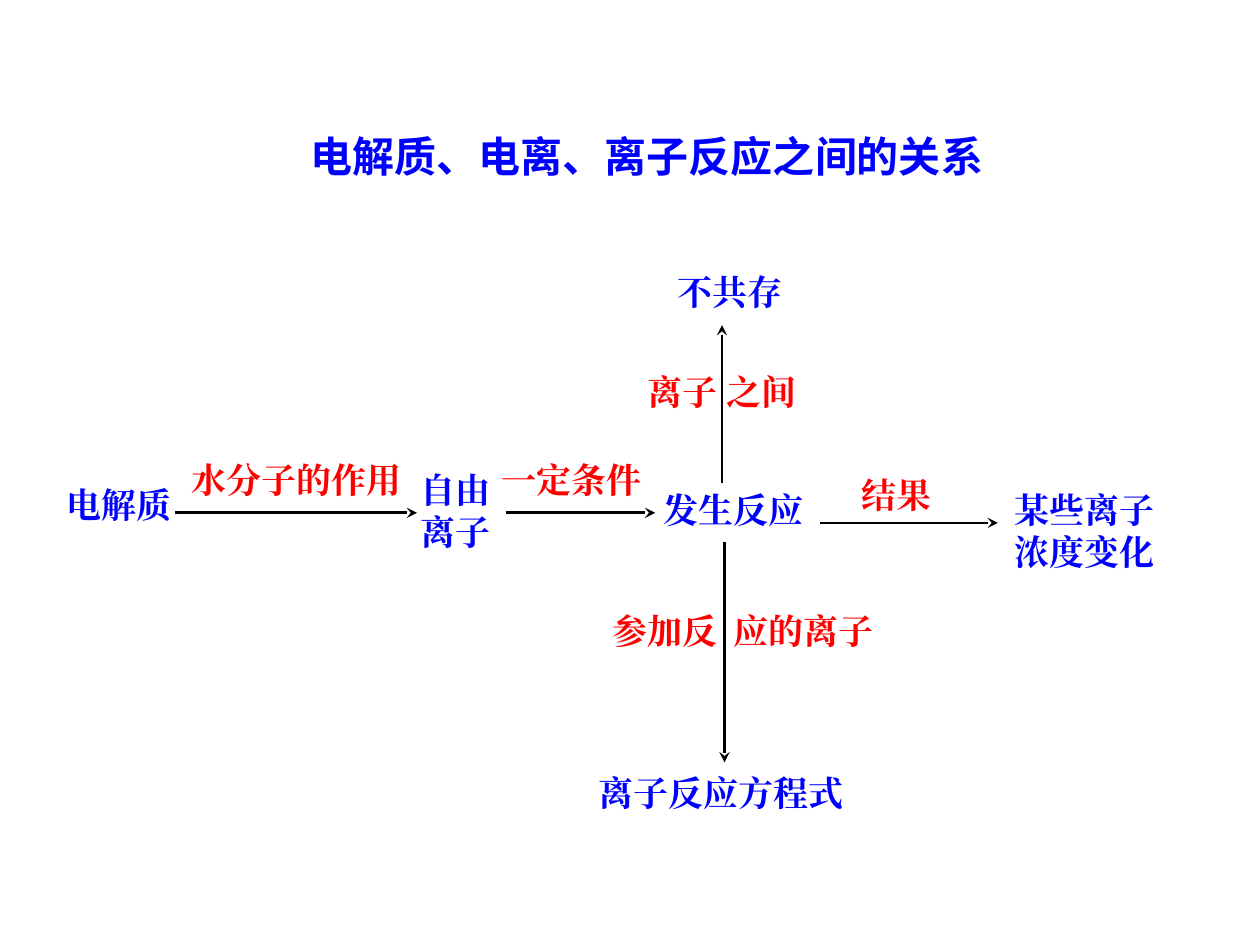
from lxml import etree
from pptx import Presentation
from pptx.dml.color import RGBColor
from pptx.enum.shapes import MSO_CONNECTOR
from pptx.enum.text import PP_ALIGN
from pptx.oxml.ns import qn
from pptx.util import Inches, Pt

STRAIGHT = MSO_CONNECTOR.STRAIGHT
LEFT, CENTER = PP_ALIGN.LEFT, PP_ALIGN.CENTER
COLORS = {"concept": "0000FF", "condition": "FF0000", "arrow": "000000"}
TITLE_FONT, BODY_FONT = "Noto Sans CJK SC", "Times New Roman"
LINE_HEIGHT = 0.44

# Text, left, top, width, height, alignment
CONCEPTS = [
    ("电解质", 0.43, 3.79, 1.48, LINE_HEIGHT, LEFT),
    ("自由离子", 3.24, 3.67, 0.85, 0.77, LEFT),
    ("发生反应", 5.17, 3.83, 1.57, LINE_HEIGHT, LEFT),
    ("不共存", 5.01, 2.1, 1.57, LINE_HEIGHT, CENTER),
    ("离子反应方程式", 4.65, 6.07, 2.52, LINE_HEIGHT, LEFT),
    ("某些离子浓度变化", 7.95, 3.83, 1.46, 0.77, LEFT),
]
# Text, left, top, width; a tab leaves room for the arrow
CONDITIONS = [
    ("水分子的作用", 1.42, 3.59, 2.05),
    ("一定条件", 3.88, 3.59, 1.48),
    ("离子 之间", 5.04, 2.89, 1.5),
    ("参加反\t应的离子", 4.76, 4.79, 2.68),
    ("结果", 6.74, 3.71, 1.02),
]
ARROW_GAP_TAB = 0.96
# Start x, start y, end x, end y
ARROWS = [
    (1.39, 4.07, 3.31, 4.07),
    (4.02, 4.07, 5.2, 4.07),
    (5.73, 3.83, 5.73, 2.58),
    (5.75, 4.3, 5.75, 6.05),
    (6.51, 4.15, 7.92, 4.15),
]


def add_tab_stop(paragraph, position):
    stops = etree.SubElement(paragraph._p.get_or_add_pPr(), qn("a:tabLst"))
    etree.SubElement(stops, qn("a:tab"), pos=str(Inches(position)), algn="l")


def add_label(slide, text, left, top, width, height, color,
              align=LEFT, font_name=BODY_FONT, size=20):
    box = slide.shapes.add_textbox(*map(Inches, (left, top, width, height)))
    box.text_frame.word_wrap = True
    paragraph = box.text_frame.paragraphs[0]
    paragraph.alignment = align
    if "\t" in text:
        add_tab_stop(paragraph, ARROW_GAP_TAB)
    run = paragraph.add_run()
    run.text = text
    formats = {"name": font_name, "size": Pt(size), "bold": True}
    for attribute, value in formats.items():
        setattr(run.font, attribute, value)
    run.font.color.rgb = RGBColor.from_string(COLORS[color])
    # Chinese characters take the East Asian font
    etree.SubElement(run._r.get_or_add_rPr(), qn("a:ea"), typeface=font_name)


def add_arrow(slide, *ends):
    arrow = slide.shapes.add_connector(STRAIGHT, *map(Inches, ends))
    arrow.line.width = Pt(1.5)
    arrow.line.color.rgb = RGBColor.from_string(COLORS["arrow"])
    etree.SubElement(arrow.line._get_or_add_ln(), qn("a:tailEnd"), type="stealth")
    etree.SubElement(arrow._element.spPr, qn("a:effectLst"))


def main():
    prs = Presentation()
    prs.slide_width, prs.slide_height = Inches(10), Inches(7.5)
    slide = prs.slides.add_slide(prs.slide_layouts[6])

    # Title
    add_label(slide, "电解质、电离、离子反应之间的关系", 1.38, 0.99, 7.51, 0.5,
              "concept", CENTER, TITLE_FONT, 24)

    # Concepts, the arrows between them, and the conditions on the arrows
    for text, left, top, width, height, align in CONCEPTS:
        add_label(slide, text, left, top, width, height, "concept", align)
    for ends in ARROWS:
        add_arrow(slide, *ends)
    for text, left, top, width in CONDITIONS:
        add_label(slide, text, left, top, width, LINE_HEIGHT, "condition")

    prs.save("out.pptx")


if __name__ == "__main__":
    main()
